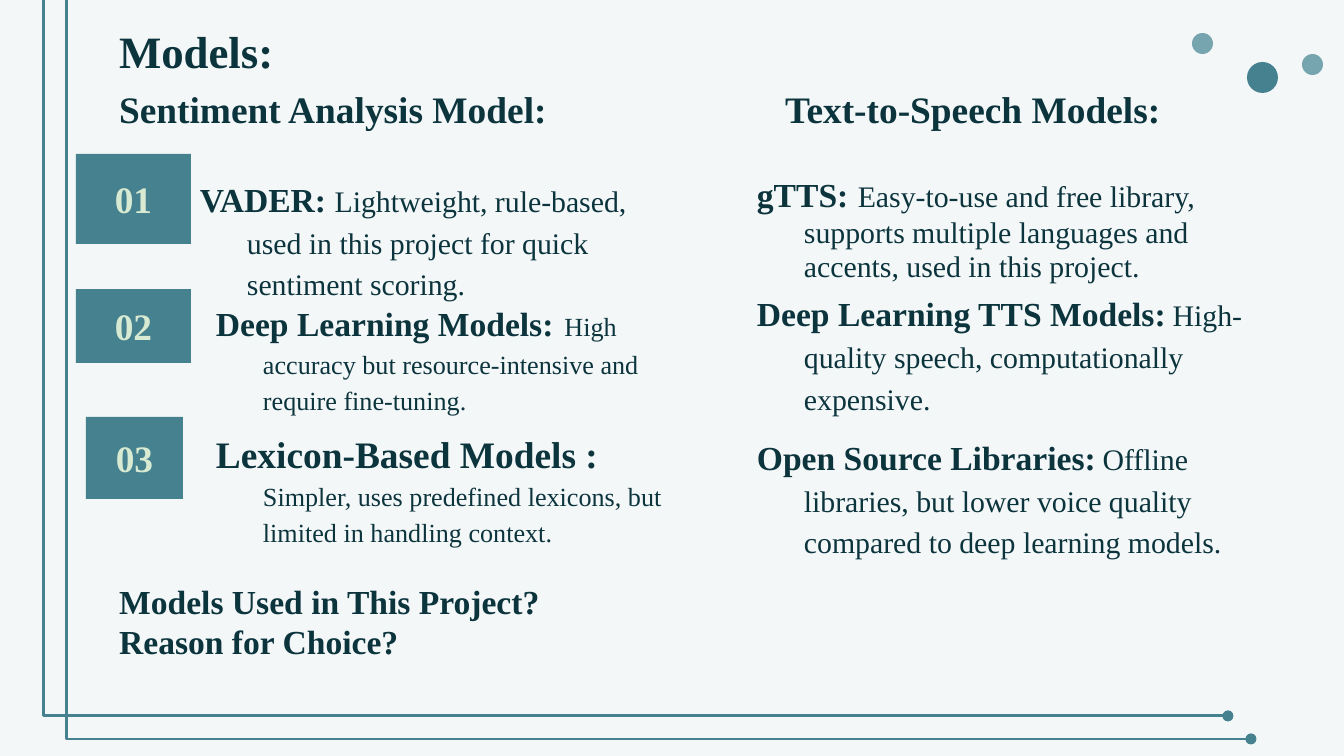
import pptx
import pptx.util
import pptx.dml.color
import pptx.enum.shapes
import pptx.enum.text
import pptx.oxml.ns
import lxml.etree

PX = 9144000 / 1344
C = {"bg": "F3F7F8", "teal": "45818E", "light": "76A5AF", "ink": "0C343D", "mint": "D9EAD3"}
SERIF = "Times New Roman"
SHAPE = pptx.enum.shapes.MSO_SHAPE
ANCHOR = pptx.enum.text.MSO_ANCHOR
qn = pptx.oxml.ns.qn


def emu(*lengths):
    return [round(n * PX) for n in lengths]


def add_run(p, text, size, bold=True, color="ink", font=SERIF):
    r = p.add_run()
    r.text = text
    r.font.size = pptx.util.Pt(size)
    r.font.bold = bold
    r.font.name = font
    r.font.color.rgb = pptx.dml.color.RGBColor.from_string(C[color])


prs = pptx.Presentation()
prs.slide_width, prs.slide_height = emu(1344, 756)
s = prs.slides.add_slide(prs.slide_layouts[5])
s.background.fill.solid()
s.background.fill.fore_color.rgb = pptx.dml.color.RGBColor.from_string(C["bg"])

for x, y, d, color in [(1247, 62, 31, "teal"), (1192, 33, 21, "light"), (1302, 54, 21, "light")]:
    dot = s.shapes.add_shape(SHAPE.OVAL, *emu(x, y, d, d))
    dot.shadow.inherit = False
    dot.fill.solid()
    dot.fill.fore_color.rgb = pptx.dml.color.RGBColor.from_string(C[color])
    dot.line.fill.background()

for x, y in [(55, -32), (78, -9)]:
    line = s.shapes.add_connector(
        pptx.enum.shapes.MSO_CONNECTOR.ELBOW, *emu(x, y, x + 1173, y + 748))
    line.line.color.rgb = pptx.dml.color.RGBColor.from_string(C["teal"])
    line.line.width = pptx.util.Pt(1.5)
    spPr = line._element.spPr
    guides = spPr.find(qn("a:prstGeom")).get_or_add_avLst()
    lxml.etree.SubElement(guides, qn("a:gd"), name="adj1", fmla="val -1000")
    lxml.etree.SubElement(spPr.find(qn("a:ln")), qn("a:tailEnd"), type="oval")
    lxml.etree.SubElement(spPr, qn("a:effectLst"))

title = s.shapes.title
title.left, title.top, title.width, title.height = emu(106, 0, 1133, 177)
tf = title.text_frame
tf.word_wrap = True
tf.auto_size = pptx.enum.text.MSO_AUTO_SIZE.NONE
tf.vertical_anchor = ANCHOR.TOP
tf.margin_left, tf.margin_top, tf.margin_right, tf.margin_bottom = emu(13, 13, 13, 13)
for i, (text, size) in enumerate([("Models:", 24),
                                  ("Sentiment Analysis Model:\tText-to-Speech Models:", 20)]):
    p = tf.add_paragraph() if i else tf.paragraphs[0]
    p.alignment = pptx.enum.text.PP_ALIGN.LEFT
    p.line_spacing = 1.2
    add_run(p, text, size)
tabs = lxml.etree.SubElement(p._p.get_or_add_pPr(), qn("a:tabLst"))
lxml.etree.SubElement(tabs, qn("a:tab"), pos=str(emu(666)[0]), algn="l")

for number, box in [("01", (76, 154, 115, 90)), ("02", (76, 289, 115, 74)), ("03", (86, 417, 97, 82))]:
    sp = s.shapes.add_shape(SHAPE.RECTANGLE, *emu(*box))
    sp.shadow.inherit = False
    sp.fill.solid()
    sp.fill.fore_color.rgb = pptx.dml.color.RGBColor.from_string(C["teal"])
    sp.line.fill.background()
    tf = sp.text_frame
    tf.vertical_anchor = ANCHOR.MIDDLE
    p = tf.paragraphs[0]
    p.alignment = pptx.enum.text.PP_ALIGN.CENTER
    add_run(p, number, 20, color="mint")

models = [
    ((167, 177, 534, 138), 1.15, [
        ("VADER: ", 18),
        ("Lightweight, rule-based, used in this project for quick sentiment scoring.", 16, False)]),
    ((183, 297, 517, 132), 1.15, [
        ("Deep Learning Models:", 18),
        (" ", 20, True, "ink", "Montserrat"),
        ("High accuracy but resource-intensive and require fine-tuning.", 14, False)]),
    ((183, 417, 517, 144), 1.15, [
        ("Lexicon-Based Models : ", 20),
        ("Simpler, uses predefined lexicons, but limited in handling context.", 14, False)]),
    ((724, 191, 567, 106), 0.95, [
        ("gTTS:", 18),
        (" ", 20),
        ("Easy-to-use and free library, supports multiple languages and accents, "
         "used in this project.", 16, False)]),
    ((724, 297, 578, 132), 1.15, [
        ("Deep Learning TTS Models:", 18),
        (" ", 14, False),
        ("High-quality speech, computationally expensive.", 16, False)]),
    ((724, 429, 532, 144), 1.15, [
        ("Open Source Libraries:", 18),
        (" ", 14, False),
        ("Offline libraries, but lower voice quality compared to deep learning models.", 16, False)]),
]
for box, spacing, runs in models:
    tf = s.shapes.add_textbox(*emu(*box)).text_frame
    tf.word_wrap = True
    tf.vertical_anchor = ANCHOR.BOTTOM
    tf.margin_left, tf.margin_top, tf.margin_right, tf.margin_bottom = emu(13, 13, 13, 13)
    p = tf.paragraphs[0]
    p.line_spacing = spacing
    pPr = p._p.get_or_add_pPr()
    pPr.set("marL", str(emu(67)[0]))
    pPr.set("indent", str(emu(-47)[0]))
    for run in runs:
        add_run(p, *run)

tf = s.shapes.add_textbox(*emu(106, 574, 737, 149)).text_frame
tf.word_wrap = True
for i, question in enumerate(["Models Used in This Project?", "Reason for Choice?"]):
    p = tf.add_paragraph() if i else tf.paragraphs[0]
    add_run(p, question, 18)

prs.save("out.pptx")
